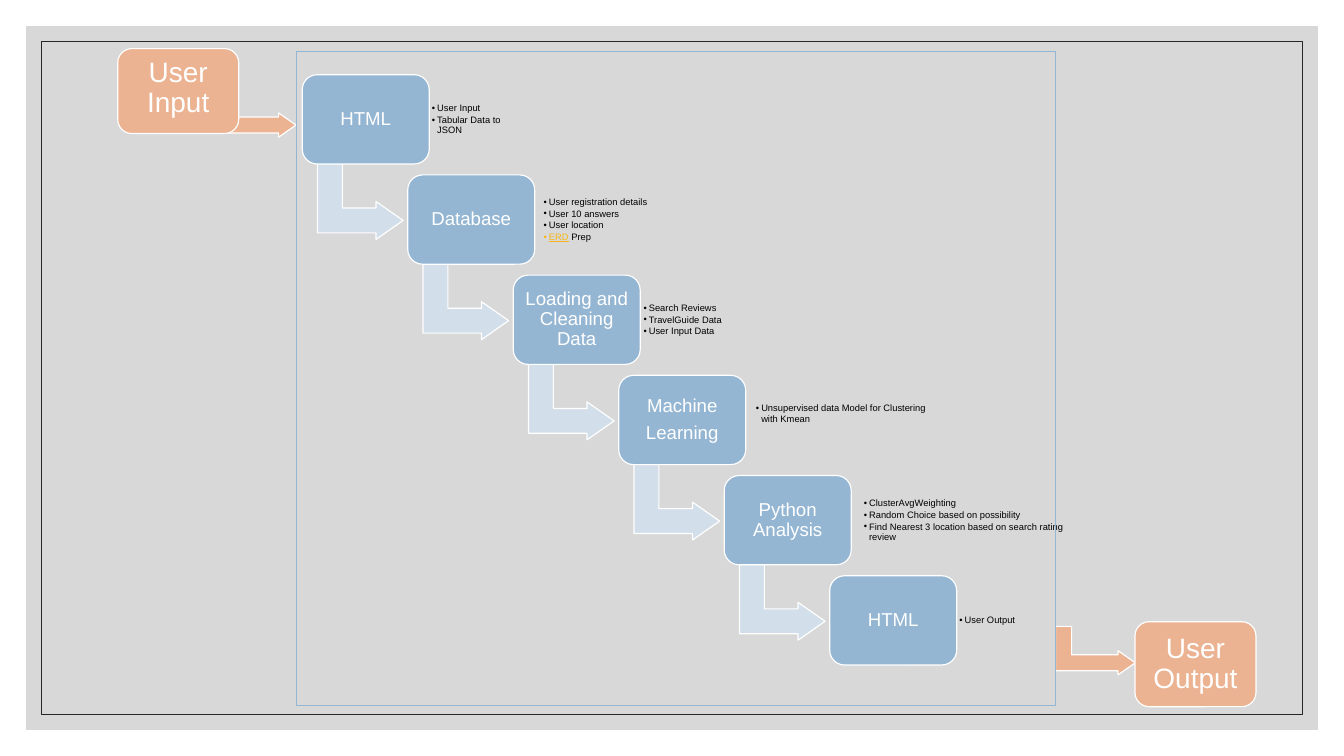
from lxml import etree
from pptx import Presentation
from pptx.dml.color import RGBColor
from pptx.enum.shapes import MSO_SHAPE as SHAPE
from pptx.enum.text import MSO_ANCHOR as ANCHOR, PP_ALIGN as ALIGN
from pptx.oxml.ns import qn
from pptx.util import Cm, Pt

COLORS = {
    "backdrop": "BFBFBF", "border": "262626", "step": "94B6D2", "arrow": "D2DEEA",
    "user": "EBB391", "white": "FFFFFF", "black": "000000", "marked": "F7B615",
}
FONT = "Arial"
STEPS = [
    (["HTML"], ["User Input", "Tabular Data to JSON"]),
    (["Database"], ["User registration details", "User 10 answers", "User location",
                    ("ERD", " Prep")]),
    (["Loading and Cleaning Data"], ["Search Reviews", "TravelGuide Data", "User Input Data"]),
    (["Machine", "Learning"], ["Unsupervised data Model for Clustering with Kmean"]),
    (["Python Analysis"], ["ClusterAvgWeighting", "Random Choice based on possibility",
                           "Find Nearest 3 location based on search rating review"]),
    (["HTML"], ["User Output"]),
]
NOTE_SPOTS = [(12.98, 2.79, 0.27), (16.36, 6.45, 0.27), (19.38, 7.67, 0.27),
              (22.78, 5.49, 0.08), (26.04, 6.73, 0.27), (28.93, 2.79, 0.27)]
USERS = [
    ("User Output", (34.32, 18.8), (32.39, 18.47), 0.25),
    ("User Input", (3.56, 1.47), (7.01, 2.21), 0.4),
]
FRAMES = {
    "backdrop": (0.79, 0.79, 39.06, 21.28),
    "border": (1.24, 1.24, 38.15, 20.37),
    "panel": (8.97, 1.57, 22.96, 19.76),
}
STEP_START, STEP_SHIFT, STEP_SIZE = (9.14, 2.26), (3.19, 3.03), (3.84, 2.7)
ARROW_OFFSET, ARROW_SIZE = (0.61, 2.54), (2.29, 2.59)
USER_SIZE, USER_ARROW_SIZE = (3.66, 2.57), (1.47, 2.41)
NOTE_HEIGHT = 2.18


def rgb(name):
    return RGBColor.from_string(COLORS[name])


def add_shape(s, kind, box, fill=None, line=None, width=1):
    sp = s.shapes.add_shape(kind, *map(Cm, box))
    sp.shadow.inherit = False
    if fill:
        sp.fill.solid()
        sp.fill.fore_color.rgb = rgb(fill)
    else:
        sp.fill.background()
    if line:
        sp.line.color.rgb = rgb(line)
        sp.line.width = Pt(width)
    else:
        sp.line.fill.background()
    return sp


def add_bent_arrow(s, spot, size, fill):
    sp = add_shape(s, SHAPE.BENT_UP_ARROW, (*spot, *size), fill, "white")
    sp.rotation = 90
    for i, value in enumerate((0.328, 0.25, 0.358)):
        sp.adjustments[i] = value


def prepare_frame(sp, inset, bottom=None):
    tf = sp.text_frame
    tf.word_wrap = True
    tf.vertical_anchor = ANCHOR.MIDDLE
    tf.margin_left = tf.margin_right = tf.margin_top = Cm(inset)
    tf.margin_bottom = Cm(bottom or inset)
    return tf


def add_paragraph(tf, first, after):
    p = tf.paragraphs[0] if first else tf.add_paragraph()
    p.line_spacing = 0.9
    p.space_after = Pt(after)
    return p


def add_run(p, text, size, color):
    r = p.add_run()
    r.text = text
    r.font.name = FONT
    r.font.size = Pt(size)
    r.font.color.rgb = rgb(color)
    return r


def add_label_box(s, lines, box, fill, size, inset, bottom=None):
    sp = add_shape(s, SHAPE.ROUNDED_RECTANGLE, box, fill, "white")
    tf = prepare_frame(sp, inset, bottom)
    for i, text in enumerate(lines):
        p = add_paragraph(tf, i == 0, size * 0.4)
        p.alignment = ALIGN.CENTER
        add_run(p, text, size, "white")


def add_notes(s, notes, box):
    tf = prepare_frame(s.shapes.add_textbox(*map(Cm, box)), 0.08)
    for i, note in enumerate(notes):
        p = add_paragraph(tf, i == 0, 1.4)
        p.level = 1
        pPr = p._p.get_or_add_pPr()
        pPr.set("marL", str(Cm(0.16)))
        pPr.set("indent", str(-Cm(0.16)))
        etree.SubElement(pPr, qn("a:buFont")).set("typeface", FONT)
        etree.SubElement(pPr, qn("a:buChar")).set("char", "•")
        if isinstance(note, tuple):
            marked, note = note
            add_run(p, marked, 8, "marked").font.underline = True
        add_run(p, note, 8, "black")


def main():
    """Build the staircase of processing steps from user input to user output."""
    prs = Presentation()
    prs.slide_width, prs.slide_height = Cm(40.64), Cm(22.86)
    s = prs.slides.add_slide(prs.slide_layouts[6])

    backdrop = add_shape(s, SHAPE.RECTANGLE, FRAMES["backdrop"], "backdrop")
    color = backdrop._element.spPr.find(qn("a:solidFill"))[0]
    etree.SubElement(color, qn("a:alpha")).set("val", "60000")
    add_shape(s, SHAPE.RECTANGLE, FRAMES["border"], line="border", width=0.5)

    for i, ((lines, notes), (note_x, note_w, drop)) in enumerate(zip(STEPS, NOTE_SPOTS)):
        x, y = (start + i * shift for start, shift in zip(STEP_START, STEP_SHIFT))
        if i < len(STEPS) - 1:
            spot = (x + ARROW_OFFSET[0], y + ARROW_OFFSET[1])
            add_bent_arrow(s, spot, ARROW_SIZE, "arrow")
        add_label_box(s, lines, (x, y, *STEP_SIZE), "step", 16, 0.18)
        add_notes(s, notes, (note_x, y + drop, note_w, NOTE_HEIGHT))

    for text, spot, arrow_spot, bottom in USERS:
        add_bent_arrow(s, arrow_spot, USER_ARROW_SIZE, "user")
        add_label_box(s, [text], (*spot, *USER_SIZE), "user", 24, 0.25, bottom)

    add_shape(s, SHAPE.RECTANGLE, FRAMES["panel"], line="step")
    prs.save("out.pptx")


if __name__ == "__main__":
    main()
